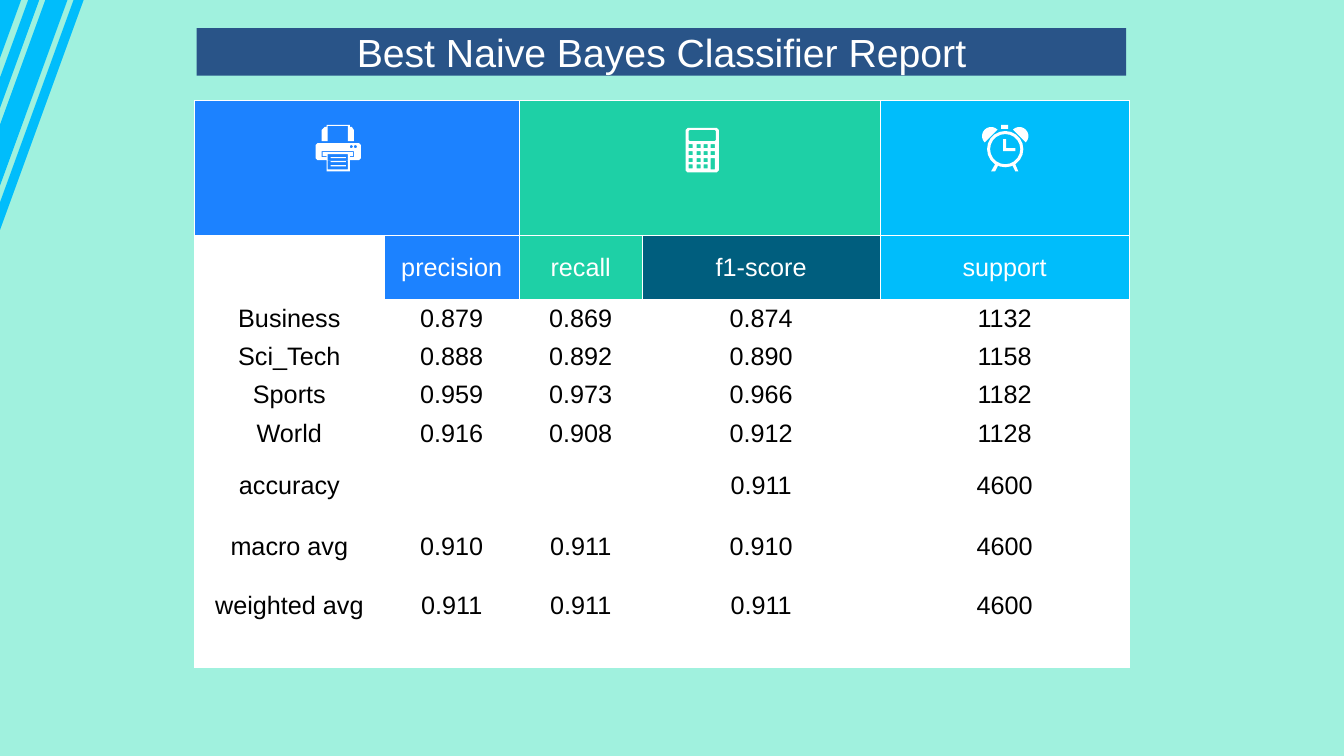
import math
from lxml import etree
from pptx import Presentation
from pptx import util as u
from pptx.dml.color import RGBColor
from pptx.enum import text
from pptx.oxml.ns import qn

# Content
TITLE = "Best Naive Bayes Classifier Report"
HEAD = ["", "precision", "recall", "f1-score", "support"]
BODY = [
    ["Business", "0.879", "0.869", "0.874", "1132"],
    ["Sci_Tech", "0.888", "0.892", "0.890", "1158"],
    ["Sports", "0.959", "0.973", "0.966", "1182"],
    ["World", "0.916", "0.908", "0.912", "1128"],
    ["accuracy", "", "", "0.911", "4600"],
    ["macro avg", "0.910", "0.911", "0.910", "4600"],
    ["weighted avg", "0.911", "0.911", "0.911", "4600"],
]
ROWS = [[""] * 5, HEAD, *BODY, [""] * 5]

# Look
HEX = {"mint": "A0F1DE", "sky": "00BDFB", "blue": "1C82FF", "green": "1ED0A6",
       "teal": "005E7E", "navy": "295488", "white": "FFFFFF", "black": "000000"}
FILLS = [["blue", "blue", "green", "green", "sky"],
         ["white", "blue", "green", "teal", "sky"]]
FONT = "Arial"
PX = 9144  # 100 px to the inch
WIDE = [188, 134, 122, 236, 247]
HIGH = [134, 63, 38, 38, 38, 38, 66, 55, 62, 29]
SLOPE = 2.75
BANDS = [(0, 21), (28, 39), (45, 67), (73, 83)]


def rgb(name):
    return RGBColor.from_string(HEX[name])


def paint(item, name):
    item.fill.solid()
    item.fill.fore_color.rgb = rgb(name)


def write(frame, words, size, name):
    para = frame.paragraphs[0]
    para.alignment = text.PP_ALIGN.CENTER
    run = para.add_run()
    run.text = words
    run.font.size = u.Pt(size)
    run.font.name = FONT
    run.font.color.rgb = rgb(name)


# Outlines as lists of points
def arc(x, y, rad, start, end):
    count = (end - start) // 18
    steps = [math.radians(start + (end - start) * i / count)
             for i in range(count + 1)]
    return [(x + rad * math.cos(a), y + rad * math.sin(a)) for a in steps]


def box(l, t, r, b, cut=0):
    if not cut:
        return [(l, t), (r, t), (r, b), (l, b)]
    return [(l + cut, t), (r - cut, t), (r, t + cut), (r, b - cut),
            (r - cut, b), (l + cut, b), (l, b - cut), (l, t + cut)]


def ring(x, y, rad):
    return arc(x, y, rad, 0, 360)


def draw(slide, parts, name):
    pts = [[(round(x * PX), round(y * PX)) for x, y in part] for part in parts]
    pen = slide.shapes.build_freeform(*pts[0][0], scale=1.0)
    for i, part in enumerate(pts):
        if i:
            pen.move_to(*part[0])
        pen.add_line_segments(part[1:], close=True)
    shape = pen.convert_to_shape()
    shape.shadow.inherit = False
    shape.line.fill.background()
    paint(shape, name)


CLOCK = [
    ring(997, 148, 18), ring(997, 148, 15),
    [(995, 138), (998, 138), (998, 147), (1007, 147), (1007, 150), (995, 150)],
    [(987, 163), (990, 164), (987, 170), (983, 170)],
    [(1007, 163), (1004, 164), (1007, 170), (1010, 170)],
    arc(983, 135, 9, 135, 315), arc(1011, 135, 9, 225, 405),
    box(993, 124, 1000, 128),
]
KEYS = [box(x, y, x + 4, y + 4)
        for x in (683, 691, 698, 705) for y in (143, 150, 157, 163)
        if x < 705 or y < 157]
CALC = [box(680, 127, 713, 171, 2), box(683, 129, 710, 140, 1),
        box(705, 157, 709, 168), *KEYS]
PRINT = [
    box(313, 142, 358, 159, 2), box(324, 159, 347, 170), box(325, 153, 345, 168),
    *[box(328, y, 343, y + 1) for y in (156, 160, 164)],
    [(319, 150), (351, 150), (351, 156), (347, 156), (347, 155), (350, 155),
     (350, 151), (320, 151), (320, 155), (324, 155), (324, 156), (319, 156)],
    box(347, 144, 350, 147, 1), box(351, 144, 354, 147, 1),
    [(324, 124), (347, 124), (347, 126), (349, 126), (351, 129), (351, 140),
     (345, 140), (345, 125), (325, 125), (325, 140), (319, 140), (319, 129),
     (322, 126), (324, 126)],
]


def edge(cell):
    props = cell._tc.get_or_add_tcPr()
    for i, tag in enumerate(("a:lnL", "a:lnR", "a:lnT", "a:lnB")):
        line = etree.Element(qn(tag), w=str(u.Pt(1)))
        fill = etree.SubElement(line, qn("a:solidFill"))
        etree.SubElement(fill, qn("a:srgbClr"), val=HEX["white"])
        props.insert(i, line)


def grid(slide):
    frame = slide.shapes.add_table(len(ROWS), len(WIDE), 193 * PX, 100 * PX,
                                   sum(WIDE) * PX, sum(HIGH) * PX)
    table = frame.table
    for col, wide in zip(table.columns, WIDE):
        col.width = wide * PX
    for row, high in zip(table.rows, HIGH):
        row.height = high * PX
    for r, row in enumerate(ROWS):
        for c, words in enumerate(row):
            cell = table.cell(r, c)
            paint(cell, FILLS[r][c] if r < 2 else "white")
            if r < 2:
                edge(cell)
            cell.margin_top = cell.margin_bottom = 0
            cell.vertical_anchor = text.MSO_ANCHOR.MIDDLE
            if words:
                write(cell.text_frame, words, 18, "white" if r == 1 else "black")
    for c in (0, 2):
        table.cell(0, c).merge(table.cell(0, c + 1))


def main():
    deck = Presentation()
    deck.slide_width, deck.slide_height = 1333 * PX, 750 * PX
    slide = deck.slides.add_slide(deck.slide_layouts[5])
    paint(slide.background, "mint")

    # Corner stripes
    draw(slide, [[(a, 0), (b, 0), (0, b * SLOPE), (0, a * SLOPE)]
                 for a, b in BANDS], "sky")

    # Report and its icons
    grid(slide)
    for icon in (CLOCK, CALC, PRINT):
        draw(slide, icon, "white")

    # Title bar
    title = slide.shapes.title
    title.left, title.top, title.width, title.height = (
        n * PX for n in (195, 28, 922, 47))
    paint(title, "navy")
    frame = title.text_frame
    frame.auto_size = text.MSO_AUTO_SIZE.NONE
    frame.vertical_anchor = text.MSO_ANCHOR.TOP
    frame.margin_left = frame.margin_right = 4 * PX
    frame.margin_top = frame.margin_bottom = 0
    write(frame, TITLE, 28, "white")
    deck.save("out.pptx")


if __name__ == "__main__":
    main()
